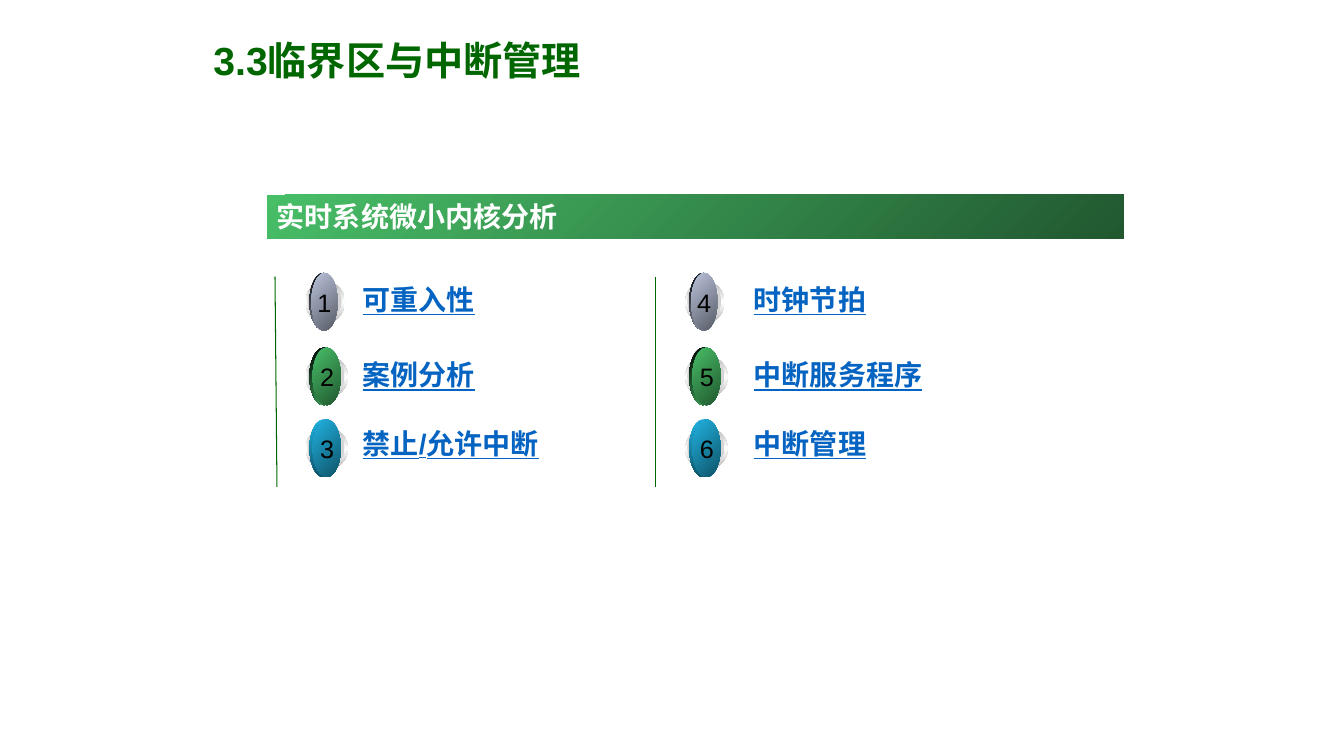
from lxml.etree import SubElement
from pptx import Presentation
from pptx.dml.color import RGBColor
from pptx.enum.shapes import MSO_CONNECTOR, MSO_SHAPE
from pptx.enum.text import MSO_ANCHOR, MSO_AUTO_SIZE, PP_ALIGN
from pptx.oxml.ns import qn
from pptx.util import Cm, Pt

FONT = "Arial"
WHITE = RGBColor(0xFF, 0xFF, 0xFF)
BLACK = RGBColor(0x00, 0x00, 0x00)
DARK_GREEN = RGBColor(0x00, 0x66, 0x00)
LINK_BLUE = RGBColor(0x05, 0x63, 0xC1)
DEEP_BLUE = RGBColor(0x04, 0x4C, 0x94)
RING_GREY = RGBColor(0xB6, 0xB6, 0xB6)
RIM_GREY = RGBColor(0xD1, 0xD1, 0xD1)
SILVER = RGBColor(0xBC, 0xC4, 0xDC)
SILVER_DARK = RGBColor(0x57, 0x5B, 0x66)
GREEN = RGBColor(0x48, 0xBE, 0x67)
GREEN_DARK = RGBColor(0x21, 0x58, 0x30)
CYAN = RGBColor(0x21, 0xB3, 0xE1)
CYAN_DARK = RGBColor(0x0F, 0x53, 0x68)

ROWS = [
    {"top": 6.88, "link_top": 6.99, "narrow": 0.08, "number_dx": 0.05,
     "back": (BLACK, SILVER), "back_angle": 45, "face": (SILVER, SILVER_DARK)},
    {"top": 8.76, "link_top": 8.89, "narrow": 0, "number_dx": 0.12,
     "back": (BLACK, GREEN), "back_angle": 45, "face": (GREEN, GREEN_DARK)},
    {"top": 10.57, "link_top": 10.62, "narrow": 0, "number_dx": 0.12,
     "back": (CYAN, CYAN_DARK), "back_angle": 90, "face": (CYAN, CYAN_DARK)},
]
COLUMNS = [
    {"badge_left": 7.7, "link_left": 8.89, "link_width": 7.42,
     "topics": [("可重入性", 5.22), ("案例分析", 5.08), ("禁止/允许中断", 5.9)]},
    {"badge_left": 17.27, "link_left": 18.75, "link_width": 7.7,
     "topics": [("时钟节拍", 4.92), ("中断服务程序", 5.52), ("中断管理", 5.08)]},
]


def write_text(frame, text, size=20, color=BLACK, bold=False, underline_to=None,
               align=PP_ALIGN.LEFT, anchor=MSO_ANCHOR.TOP, grow=True):
    """Fill a text frame with one formatted line, underlined up to a tab stop if given."""
    frame.word_wrap = True
    frame.vertical_anchor = anchor
    frame.auto_size = MSO_AUTO_SIZE.SHAPE_TO_FIT_TEXT if grow else MSO_AUTO_SIZE.NONE
    line = frame.paragraphs[0]
    line.alignment = align
    if underline_to:
        tabs = SubElement(line._p.get_or_add_pPr(), qn("a:tabLst"))
        SubElement(tabs, qn("a:tab"), pos=str(Cm(underline_to)), algn="l")
        text += "\t"
    run = line.add_run()
    run.text = text
    run.font.name = FONT
    run.font.size = Pt(size)
    run.font.bold = bold
    run.font.underline = bool(underline_to)
    run.font.color.rgb = color


def add_label(shapes, left, top, width, height, text, **style):
    """Place a text box holding one formatted line."""
    label = shapes.add_textbox(Cm(left), Cm(top), Cm(width), Cm(height))
    write_text(label.text_frame, text, **style)


def add_gradient_shape(shapes, kind, left, top, width, height, colors, angle):
    """Place a borderless shape whose gradient runs evenly through the colours."""
    shape = shapes.add_shape(kind, Cm(left), Cm(top), Cm(width), Cm(height))
    shape.shadow.inherit = False
    shape.line.fill.background()
    shape.fill.gradient()
    shape.fill.gradient_angle = (360 - angle) % 360
    stops = shape._element.spPr.find(qn("a:gradFill")).find(qn("a:gsLst"))
    for stop in list(stops):
        stops.remove(stop)
    for index, color in enumerate(colors):
        position = index * 100000 // (len(colors) - 1)
        stop = SubElement(stops, qn("a:gs"), pos=str(position))
        SubElement(stop, qn("a:srgbClr"), val=str(color))
    return shape


def add_divider(shapes, x1, y1, x2, y2):
    """Draw a thin green line beside a column of topics."""
    divider = shapes.add_connector(MSO_CONNECTOR.STRAIGHT, Cm(x1), Cm(y1), Cm(x2), Cm(y2))
    divider.line.color.rgb = DARK_GREEN
    divider.line.width = Pt(0.75)
    SubElement(divider._element.spPr, qn("a:effectLst"))


def add_badge(shapes, left, row, number):
    """Draw a numbered button of stacked ovals as one group."""
    badge = shapes.add_group_shape().shapes
    top, narrow = row["top"], row["narrow"]
    face_dx, face_width = (0.15, 0.66) if narrow else (0.18, 0.71)
    ovals = [
        (0, 0.2, 1.07 - narrow, 1.07, (RING_GREY, WHITE, RING_GREY), 90),
        (0.05, 0.25, 0.94 - narrow, 0.94, (RIM_GREY, WHITE, RIM_GREY), 0),
        (0.1, 0, 0.71, 1.45, (WHITE, LINK_BLUE, WHITE), 45),
        (0.1, 0, 0.71, 1.45, row["back"], row["back_angle"]),
        (face_dx, 0, face_width, 1.45, (DEEP_BLUE, LINK_BLUE, DEEP_BLUE), 315),
        (face_dx, 0, face_width, 1.45, row["face"], 45),
    ]
    for dx, dy, width, height, colors, angle in ovals:
        add_gradient_shape(badge, MSO_SHAPE.OVAL, left + dx, top + dy,
                           width, height, colors, angle)
    add_label(badge, left + row["number_dx"], top + 0.23, 0.76, 1.02, str(number),
              size=18, align=PP_ALIGN.CENTER)


def main():
    """Build the chapter overview slide."""
    deck = Presentation()
    deck.slide_width, deck.slide_height = Cm(33.87), Cm(19.05)
    shapes = deck.slides.add_slide(deck.slide_layouts[6]).shapes

    banner = add_gradient_shape(shapes, MSO_SHAPE.RECTANGLE, 6.73, 4.91, 21.59, 1.1,
                                (GREEN, GREEN_DARK), 45)
    write_text(banner.text_frame, "实时系统微小内核分析", color=WHITE, bold=True,
               anchor=MSO_ANCHOR.MIDDLE)
    add_label(shapes, 5.13, 1.02, 11.15, 0.99, "3.3临界区与中断管理", size=28,
              color=DARK_GREEN, bold=True, anchor=MSO_ANCHOR.MIDDLE, grow=False)
    add_divider(shapes, 6.93, 6.97, 6.98, 12.27)
    add_divider(shapes, 16.51, 6.97, 16.51, 12.27)

    number = 0
    for column in COLUMNS:
        for row, (topic, underline_to) in zip(ROWS, column["topics"]):
            number += 1
            add_badge(shapes, column["badge_left"], row, number)
            add_label(shapes, column["link_left"], row["link_top"], column["link_width"],
                      1.09, topic, color=LINK_BLUE, bold=True, underline_to=underline_to)
    deck.save("out.pptx")


if __name__ == "__main__":
    main()
